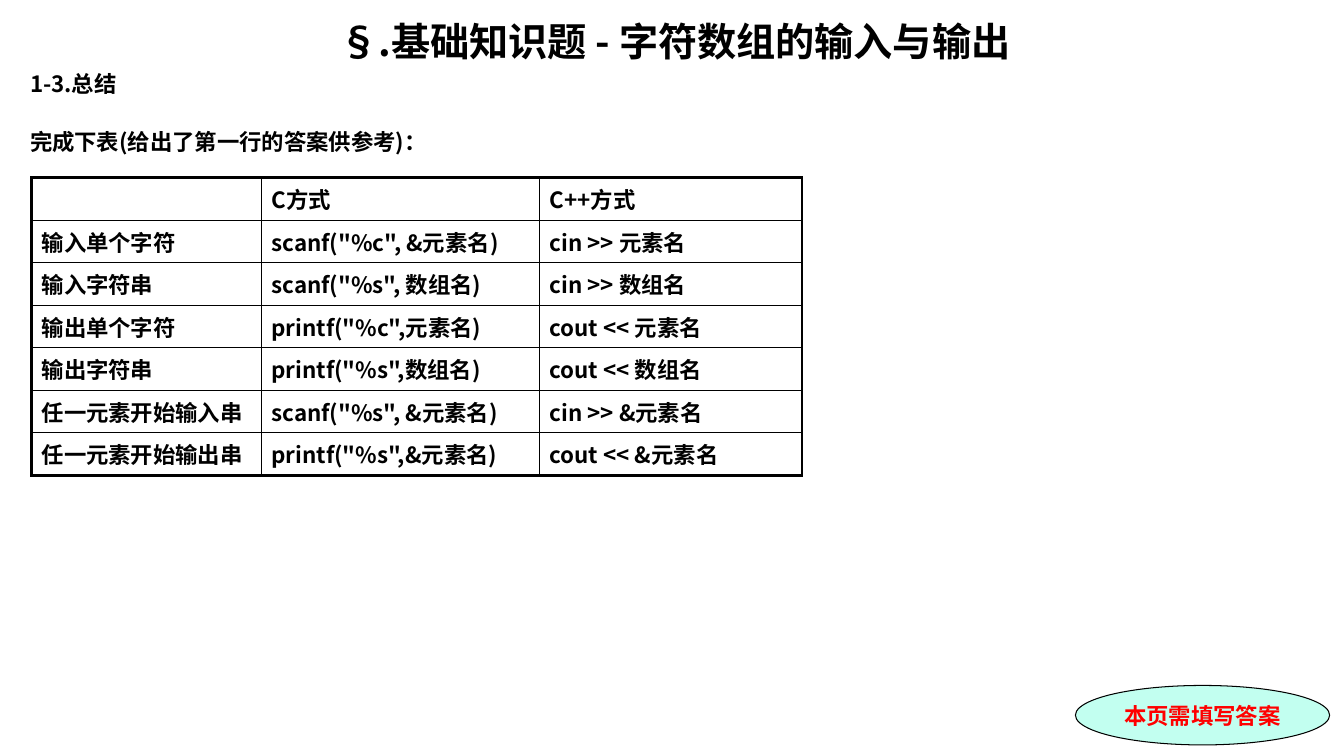
from dataclasses import dataclass

from lxml.etree import SubElement
from pptx import Presentation
from pptx.dml.color import RGBColor as RGB
from pptx.enum.shapes import MSO_SHAPE as Preset
from pptx.enum.text import MSO_ANCHOR as Anchor, MSO_AUTO_SIZE as AutoSize, PP_ALIGN as Align
from pptx.oxml.ns import qn
from pptx.util import Pt

# Content
TITLE = "§.基础知识题 - 字符数组的输入与输出"
INTRO = ["1-3.总结", "完成下表(给出了第一行的答案供参考)："]
ROWS = [
    ("", "C方式", "C++方式"),
    ("输入单个字符", 'scanf("%c", &元素名)', "cin >> 元素名"),
    ("输入字符串", 'scanf("%s", 数组名)', "cin >> 数组名"),
    ("输出单个字符", 'printf("%c",元素名)', "cout << 元素名"),
    ("输出字符串", 'printf("%s",数组名)', "cout << 数组名"),
    ("任一元素开始输入串", 'scanf("%s", &元素名)', "cin >> &元素名"),
    ("任一元素开始输出串", 'printf("%s",&元素名)', "cout << &元素名"),
]
BADGE = "本页需填写答案"


@dataclass(frozen=True)
class Theme:
    black: str = "000000"
    white: str = "FFFFFF"
    red: str = "FF0000"
    mint: str = "C2FFF0"
    font: str = "Noto Sans CJK SC"
    badge_font: str = "Times New Roman"
    title_size: float = 28
    body_size: float = 16
    thick: float = 2.25
    thin: float = 1
    hairline: float = 0.75


THEME = Theme()

# Layout in points
SLIDE_WIDTH, SLIDE_HEIGHT = 960, 540
LEFT, TEXT_WIDTH = 14.4, 935.2
TITLE_TOP, TITLE_HEIGHT = 12.5, 41
INTRO_TOP, INTRO_HEIGHT, INTRO_GAP = 50.4, 70, 22
TABLE_LEFT, TABLE_TOP = 22.6, 126.9
COLUMN_WIDTHS = [164.2, 198.7, 187.4]
ROW_HEIGHT = 30.36
BADGE_BOX = (768.2, 489.6, 181.6, 42.5)


def write(paragraph, text, size=THEME.body_size, color=THEME.black,
          font=THEME.font, align=Align.LEFT, before=0):
    paragraph.alignment = align
    paragraph.space_before = Pt(before)
    paragraph.line_spacing = 1.0
    run = paragraph.add_run()
    run.text = text
    run.font.name = font
    run.font.size = Pt(size)
    run.font.bold = True
    run.font.color.rgb = RGB.from_string(color)
    SubElement(run.font._element, qn("a:ea"), typeface=THEME.font)


def prepare_frame(frame, anchor=Anchor.TOP):
    frame.word_wrap = True
    frame.auto_size = AutoSize.NONE
    frame.vertical_anchor = anchor
    frame.margin_top = frame.margin_bottom = 0
    frame.margin_left = frame.margin_right = Pt(7.2)
    return frame


def set_border(cell, side, width):
    line = SubElement(cell._tc.get_or_add_tcPr(), qn(f"a:ln{side}"), w=str(Pt(width)))
    fill = SubElement(line, qn("a:solidFill"))
    SubElement(fill, qn("a:srgbClr"), val=THEME.black)


def add_title(slide):
    title = slide.shapes.title
    title.left, title.top = Pt(LEFT), Pt(TITLE_TOP)
    title.width, title.height = Pt(TEXT_WIDTH), Pt(TITLE_HEIGHT)
    frame = prepare_frame(title.text_frame)
    write(frame.paragraphs[0], TITLE, size=THEME.title_size, align=Align.CENTER)


def add_intro(slide):
    box = slide.shapes.add_textbox(Pt(LEFT), Pt(INTRO_TOP), Pt(TEXT_WIDTH), Pt(INTRO_HEIGHT))
    frame = prepare_frame(box.text_frame)
    write(frame.paragraphs[0], INTRO[0])
    write(frame.add_paragraph(), INTRO[1], before=INTRO_GAP)


def add_summary_table(slide):
    row_count, column_count = len(ROWS), len(COLUMN_WIDTHS)
    table = slide.shapes.add_table(
        row_count, column_count, Pt(TABLE_LEFT), Pt(TABLE_TOP),
        Pt(sum(COLUMN_WIDTHS)), Pt(ROW_HEIGHT * row_count)).table
    table.first_row = table.horz_banding = False
    for column, width in zip(table.columns, COLUMN_WIDTHS):
        column.width = Pt(width)
    for r, texts in enumerate(ROWS):
        table.rows[r].height = Pt(ROW_HEIGHT)
        for c, text in enumerate(texts):
            cell = table.cell(r, c)
            write(cell.text_frame.paragraphs[0], text)
            # Thick on the outer edge, thin inside
            outer = {"L": c == 0, "R": c == column_count - 1,
                     "T": r == 0, "B": r == row_count - 1}
            for side, is_outer in outer.items():
                set_border(cell, side, THEME.thick if is_outer else THEME.thin)
            cell.fill.solid()
            cell.fill.fore_color.rgb = RGB.from_string(THEME.white)


def add_badge(slide):
    badge = slide.shapes.add_shape(Preset.OVAL, *map(Pt, BADGE_BOX))
    badge.shadow.inherit = False
    badge.fill.solid()
    badge.fill.fore_color.rgb = RGB.from_string(THEME.mint)
    badge.line.color.rgb = RGB.from_string(THEME.black)
    badge.line.width = Pt(THEME.hairline)
    frame = prepare_frame(badge.text_frame, anchor=Anchor.MIDDLE)
    write(frame.paragraphs[0], BADGE, color=THEME.red,
          font=THEME.badge_font, align=Align.CENTER)


def main():
    presentation = Presentation()
    presentation.slide_width, presentation.slide_height = Pt(SLIDE_WIDTH), Pt(SLIDE_HEIGHT)
    slide = presentation.slides.add_slide(presentation.slide_layouts[5])
    add_title(slide)
    add_intro(slide)
    add_summary_table(slide)
    add_badge(slide)
    presentation.save("out.pptx")


if __name__ == "__main__":
    main()
